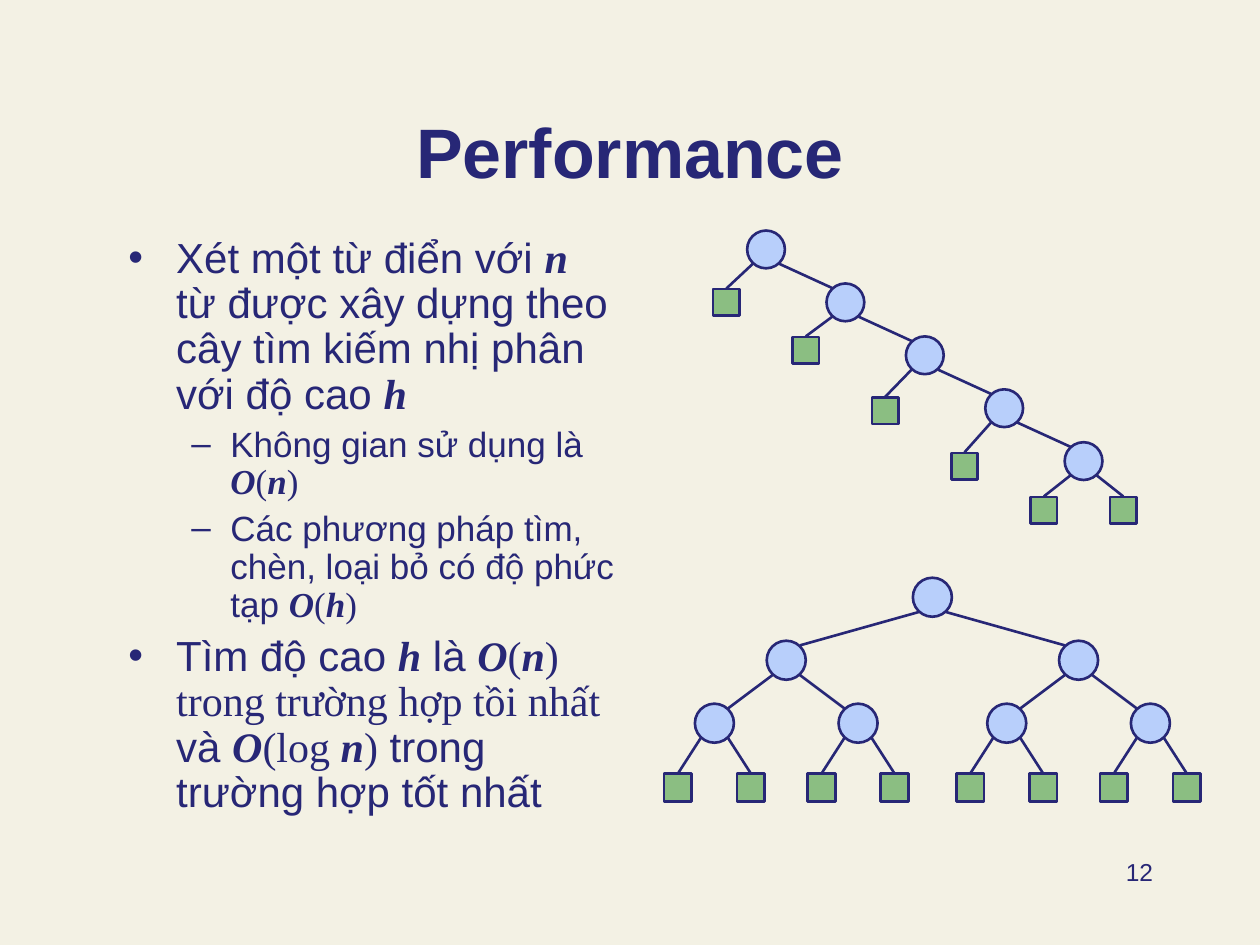
from lxml.etree import SubElement
from pptx import Presentation
from pptx.dml.color import RGBColor
from pptx.enum.shapes import MSO_CONNECTOR as Connector, MSO_SHAPE as Shape
from pptx.enum.text import MSO_ANCHOR as Anchor, PP_ALIGN as Align
from pptx.oxml.ns import qn
from pptx.util import Inches, Pt

WIDTH, HEIGHT = 10, 7.5
INK, PAPER, NODE_FILL, LEAF_FILL = "272776", "F3F1E4", "B8CFFB", "8BBE82"
SANS, SERIF = "Arial", "Times New Roman"
TEXT, MATH, VARIABLE = (SANS, False), (SERIF, False), (SERIF, True)

TITLE = "Performance"
PAGE_NUMBER = "12"
BULLETS = [
    (0, [("Xét một từ điển với ", TEXT), ("n", VARIABLE),
         (" từ được xây dựng theo cây tìm kiếm nhị phân với độ cao ", TEXT), ("h", VARIABLE)]),
    (1, [("Không gian sử dụng là ", TEXT), ("O", VARIABLE), ("(", MATH),
         ("n", VARIABLE), (")", MATH)]),
    (1, [("Các phương pháp tìm, chèn, loại bỏ có độ phức tạp ", TEXT), ("O", VARIABLE),
         ("(", MATH), ("h", VARIABLE), (")", MATH)]),
    (0, [("Tìm độ cao ", TEXT), ("h", VARIABLE), (" là ", TEXT), ("O", VARIABLE),
         ("(", MATH), ("n", VARIABLE), (") trong trường hợp tồi nhất", MATH), (" và ", TEXT),
         ("O", VARIABLE), ("(log ", MATH), ("n", VARIABLE), (")", MATH),
         (" trong trường hợp tốt nhất", TEXT)]),
]
LEVELS = [
    {"size": 24, "before": 6, "margin": 0.38, "hanging": 0.38, "bullet": "•"},
    {"size": 20, "before": 5, "margin": 0.81, "hanging": 0.31, "bullet": "–"},
]

CHAIN_START, CHAIN_STEP = (6.08, 1.98), (0.63, 0.42)
CHAIN_LEAF_ROWS = [2.4, 2.78, 3.26, 3.7, 4.05]
CHAIN_SIZES = (0.3, 0.21)
BALANCED_ROOT_X = 7.4
BALANCED_ROWS = [4.74, 5.24, 5.74, 6.25]
BALANCED_SPREADS = [1.16, 0.57, 0.29]
BALANCED_SIZES = (0.31, 0.22)


def color(value):
    return RGBColor.from_string(value)


def format_run(run, size, font=SANS, bold=False, italic=False):
    run.font.size, run.font.name = Pt(size), font
    run.font.bold, run.font.italic = bold, italic
    run.font.color.rgb = color(INK)


def add_box(slide, left, top, width, height):
    box = slide.shapes.add_textbox(*map(Inches, (left, top, width, height)))
    box.text_frame.word_wrap = True
    return box.text_frame


def add_label(slide, place, text, size, align, anchor=Anchor.TOP, bold=False):
    frame = add_box(slide, *place)
    frame.text, frame.vertical_anchor = text, anchor
    paragraph = frame.paragraphs[0]
    paragraph.alignment = align
    format_run(paragraph.runs[0], size, bold=bold)


def add_bullets(slide, place):
    frame = add_box(slide, *place)
    for index, (depth, pieces) in enumerate(BULLETS):
        level = LEVELS[depth]
        paragraph = frame.add_paragraph() if index else frame.paragraphs[0]
        paragraph.level, paragraph.line_spacing = depth, 0.9
        paragraph.space_before = Pt(level["before"] if index else 0)
        properties = paragraph._p.get_or_add_pPr()
        properties.set("marL", str(Inches(level["margin"])))
        properties.set("indent", str(-Inches(level["hanging"])))
        bullet_color = SubElement(properties, qn("a:buClr"))
        SubElement(bullet_color, qn("a:srgbClr"), val=INK)
        SubElement(properties, qn("a:buFont"), typeface=SANS)
        SubElement(properties, qn("a:buChar"), char=level["bullet"])
        for text, (font, strong) in pieces:
            run = paragraph.add_run()
            run.text = text
            format_run(run, level["size"], font, strong, strong)


def chain_tree(depth=0):
    x, y = (start + depth * step for start, step in zip(CHAIN_START, CHAIN_STEP))
    leaf_y, half = CHAIN_LEAF_ROWS[depth], CHAIN_STEP[0] / 2
    last = depth == len(CHAIN_LEAF_ROWS) - 1
    right = (x + half, leaf_y, []) if last else chain_tree(depth + 1)
    return x, y, [(x - half, leaf_y, []), right]


def balanced_tree(x=BALANCED_ROOT_X, depth=0):
    children = []
    if depth < len(BALANCED_SPREADS):
        spread = BALANCED_SPREADS[depth]
        children = [balanced_tree(x + side * spread, depth + 1) for side in (-1, 1)]
    return x, BALANCED_ROWS[depth], children


def add_edge(shapes, parent, child, node_size):
    (x, y, _), (child_x, child_y, grandchildren) = parent, child
    side = 1 if child_x > x else -1
    across, down = 0.35 * node_size, 0.38 * node_size
    end_x = child_x - side * across if grandchildren else child_x
    end_y = child_y - down if grandchildren else child_y - 0.11
    points = (x + side * across, y + down, end_x, end_y)
    edge = shapes.add_connector(Connector.STRAIGHT, *map(Inches, points))
    edge.line.color.rgb, edge.line.width = color(INK), Pt(1.5)
    SubElement(edge._element.spPr, qn("a:effectLst"))


def draw_tree(shapes, tree, sizes):
    x, y, children = tree
    for child in children:
        add_edge(shapes, tree, child, sizes[0])
        draw_tree(shapes, child, sizes)
    kind, fill, size = ((Shape.OVAL, NODE_FILL, sizes[0]) if children
                        else (Shape.RECTANGLE, LEAF_FILL, sizes[1]))
    place = (x - size / 2, y - size / 2, size, size)
    shape = shapes.add_shape(kind, *map(Inches, place))
    shape.shadow.inherit = False
    shape.fill.solid()
    shape.fill.fore_color.rgb = color(fill)
    shape.line.color.rgb, shape.line.width = color(INK), Pt(1.5)


def main():
    """Build the slide on binary search tree performance."""
    presentation = Presentation()
    presentation.slide_width, presentation.slide_height = Inches(WIDTH), Inches(HEIGHT)
    slide = presentation.slides.add_slide(presentation.slide_layouts[6])
    slide.background.fill.solid()
    slide.background.fill.fore_color.rgb = color(PAPER)
    add_label(slide, (0.75, 0.5, 8.5, 1.08), TITLE, 40, Align.CENTER, Anchor.BOTTOM, True)
    add_bullets(slide, (0.92, 1.83, 4.08, 5))
    draw_tree(slide.shapes.add_group_shape().shapes, chain_tree(), CHAIN_SIZES)
    draw_tree(slide.shapes, balanced_tree(), BALANCED_SIZES)
    add_label(slide, (7.17, 6.75, 2.08, 0.5), PAGE_NUMBER, 14, Align.RIGHT)
    presentation.save("out.pptx")


if __name__ == "__main__":
    main()
